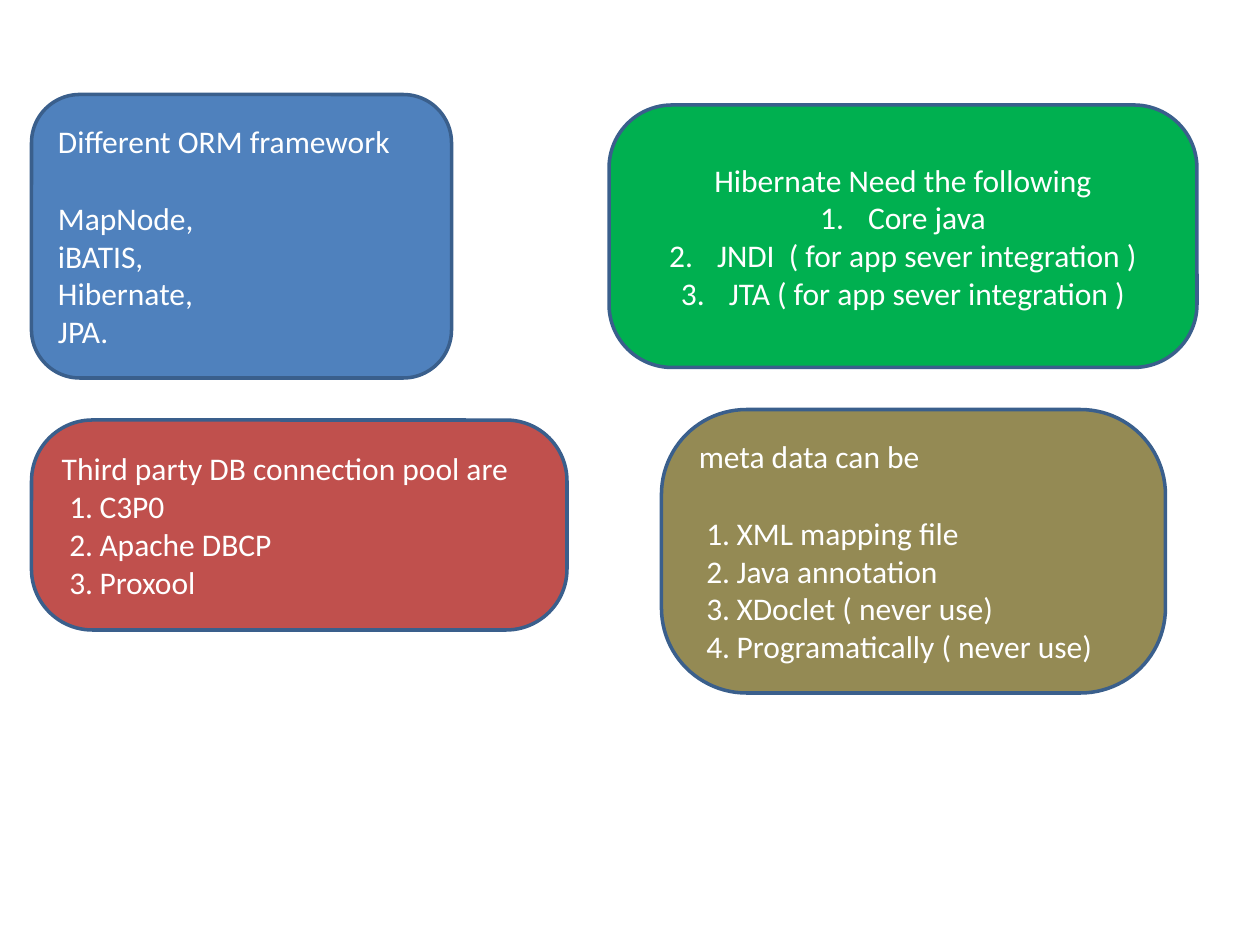
from lxml import etree
from pptx import Presentation
from pptx.dml.color import RGBColor
from pptx.enum.shapes import MSO_SHAPE
from pptx.enum.text import MSO_ANCHOR, PP_ALIGN
from pptx.oxml.ns import qn
from pptx.util import Inches, Pt

ROUND = MSO_SHAPE.ROUNDED_RECTANGLE
MIDDLE = MSO_ANCHOR.MIDDLE
LEFT, CENTER = PP_ALIGN.LEFT, PP_ALIGN.CENTER
WIDE, HIGH = Inches(10), Inches(7.5)
COLS, ROWS = 120, 90
SIZE = 18
GAP = 22  # one line of text, in points


def color(code):
    """Turn a hex string into a colour."""
    return RGBColor.from_string(code)


def place(col, row, cols, rows):
    """Turn grid columns and rows into left, top, width and height."""
    return (WIDE * col // COLS, HIGH * row // ROWS,
            WIDE * cols // COLS, HIGH * rows // ROWS)


def number(para, margin, hang):
    """Number a paragraph, with its margin and hang in inches."""
    props = para._p.get_or_add_pPr()
    props.set("marL", str(Inches(margin)))
    props.set("indent", str(-Inches(hang)))
    mark = etree.SubElement(props, qn("a:buAutoNum"))
    mark.set("type", "arabicPeriod")


def write(para, text, align):
    """Add one run of white text to a paragraph."""
    para.alignment = align
    run = para.add_run()
    run.text = text
    run.font.name = "Calibri"
    run.font.size = Pt(SIZE)
    run.font.color.rgb = color("FFFFFF")


def card(slide, box, fill, curve, head, items,
         align=LEFT, gap=0, indent=None):
    """Draw a rounded card with a heading and its list."""
    shape = slide.shapes.add_shape(ROUND, *place(*box))
    shape.adjustments[0] = curve
    shape.shadow.inherit = False
    shape.fill.solid()
    shape.fill.fore_color.rgb = color(fill)
    shape.line.color.rgb = color("3A5F8C")
    shape.line.width = Pt(2)
    frame = shape.text_frame
    frame.word_wrap = True
    frame.vertical_anchor = MIDDLE
    first = frame.paragraphs[0]
    write(first, head, align)
    if gap:
        first.space_after = Pt(gap)
    for item in items:
        para = frame.add_paragraph()
        write(para, item, align)
        if indent:
            number(para, *indent)


def build(slide):
    """Place the four topic cards on the slide."""
    tight = (0.3, 0.24)
    card(slide, (3, 9, 40, 27), "4F81BD", 0.17, "Different ORM framework",
         ["MapNode,", "iBATIS,", "Hibernate,", "JPA."], gap=GAP)
    card(slide, (58, 10, 56, 25), "00B050", 0.24,
         "Hibernate Need the following",
         ["Core java", "JNDI  ( for app sever integration )",
          "JTA ( for app sever integration )"],
         align=CENTER, indent=(0.38, 0.38))
    card(slide, (3, 40, 51, 20), "C0504D", 0.29,
         "Third party DB connection pool are",
         ["C3P0", "Apache DBCP", "Proxool"], indent=tight)
    card(slide, (63, 39, 48, 27), "948A54", 0.3, "meta data can be",
         ["XML mapping file", "Java annotation", "XDoclet ( never use)",
          "Programatically ( never use)"], gap=GAP, indent=tight)


deck = Presentation()
deck.slide_width, deck.slide_height = WIDE, HIGH
build(deck.slides.add_slide(deck.slide_layouts[6]))
deck.save("out.pptx")
